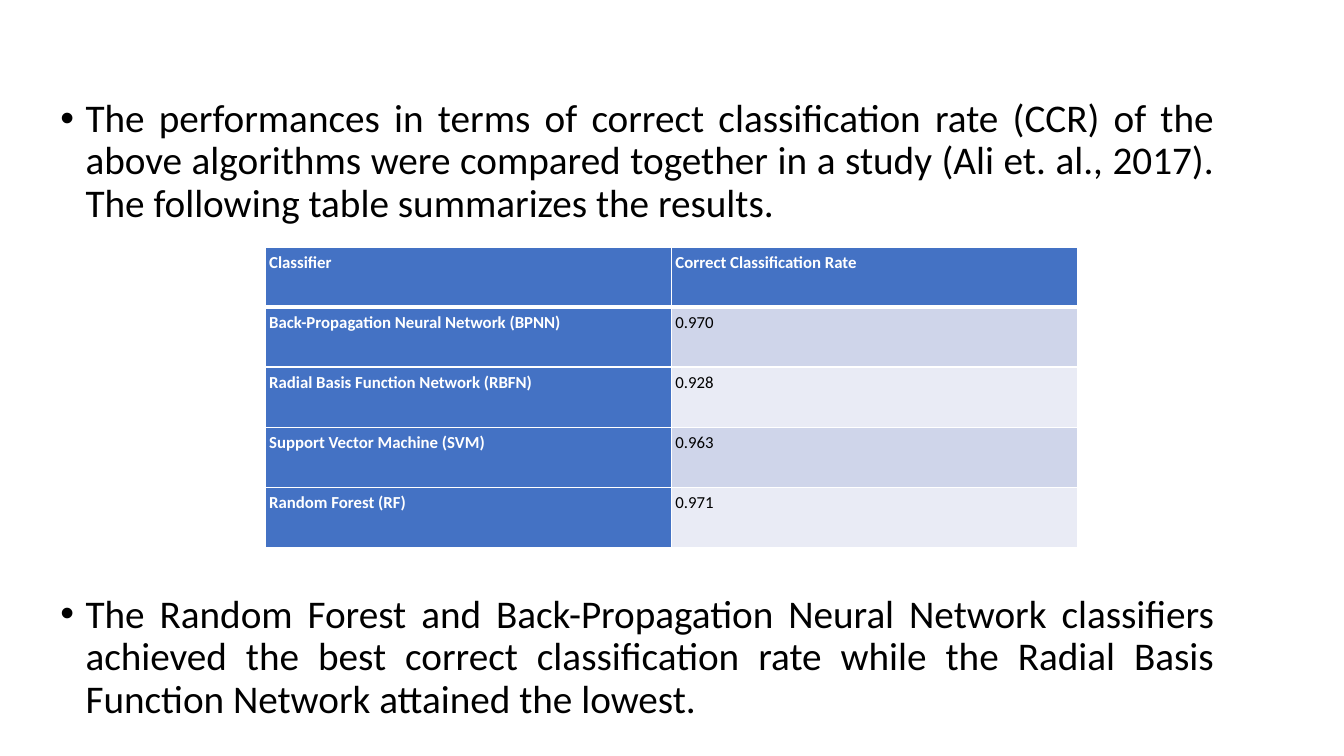
import pptx
import pptx.dml.color
import pptx.enum.text
import pptx.oxml
import pptx.oxml.ns
import pptx.util

prs = pptx.Presentation()
prs.slide_width = pptx.util.Inches(13.33)
prs.slide_height = pptx.util.Inches(7.5)
s = prs.slides.add_slide(prs.slide_layouts[6])

# Lengths are percentages of the slide's width and height
X, Y = prs.slide_width / 100, prs.slide_height / 100
NS = pptx.oxml.ns.nsdecls("a")


def rgb(color):
    return pptx.dml.color.RGBColor.from_string(color)


def write(tf, text, size=12, color="000000", bold=False, spacing=1.0, after=0, bullet=False):
    p = tf.paragraphs[0]
    p.alignment = pptx.enum.text.PP_ALIGN.JUSTIFY
    p.line_spacing = spacing
    p.space_before, p.space_after = pptx.util.Pt(0), pptx.util.Pt(after)
    if bullet:
        pPr = p._p.get_or_add_pPr()
        indent = pptx.util.Inches(0.25)
        pPr.set("marL", str(indent))
        pPr.set("indent", str(-indent))
        pPr.append(pptx.oxml.parse_xml(f'<a:buFont {NS} typeface="Arial"/>'))
        pPr.append(pptx.oxml.parse_xml(f'<a:buChar {NS} char="•"/>'))
    r = p.add_run()
    r.text = text
    r.font.name, r.font.size, r.font.bold = "Calibri", pptx.util.Pt(size), bold
    r.font.color.rgb = rgb(color)


# Classifier table
rows = [
    ("Classifier", "Correct Classification Rate"),
    ("Back-Propagation Neural Network (BPNN)", "0.970"),
    ("Radial Basis Function Network (RBFN)", "0.928"),
    ("Support Vector Machine (SVM)", "0.963"),
    ("Random Forest (RF)", "0.971"),
]
table = s.shapes.add_table(len(rows), 2, int(19.73 * X), int(32.67 * Y),
                           int(60.46 * X), int(39.73 * Y)).table
for i, row in enumerate(rows):
    for j, text in enumerate(row):
        cell = table.cell(i, j)
        cell.margin_left = cell.margin_right = pptx.util.Inches(0.04)
        cell.margin_top = cell.margin_bottom = pptx.util.Inches(0.04)
        heading = i == 0 or j == 0
        write(cell.text_frame, text, color="FFFFFF" if heading else "000000",
              bold=heading, spacing=1.06, after=8)

        # White borders, thicker under the header row
        tcPr = cell._tc.get_or_add_tcPr()
        for side in "LRTB":
            thick = (i, side) in [(0, "B"), (1, "T")]
            width = pptx.util.Pt(3 if thick else 1)
            tcPr.append(pptx.oxml.parse_xml(
                f'<a:ln{side} {NS} w="{width}"><a:solidFill><a:srgbClr val="FFFFFF"/>'
                f'</a:solidFill></a:ln{side}>'))
        cell.fill.solid()
        band = "CFD5EA" if i % 2 else "E9EBF5"
        cell.fill.fore_color.rgb = rgb("4472C4" if heading else band)

# Bulleted statements above and below the table
for top, text in [
    (12.4, "The performances in terms of correct classification rate (CCR) of the above "
           "algorithms were compared together in a study (Ali et. al., 2017). "
           "The following table summarizes the results."),
    (78, "The Random Forest and Back-Propagation Neural Network classifiers achieved the "
         "best correct classification rate while the Radial Basis Function Network "
         "attained the lowest."),
]:
    tf = s.shapes.add_textbox(int(3.75 * X), int(top * Y), int(87.32 * X), int(22 * Y)).text_frame
    tf.word_wrap = True
    write(tf, text, size=28, spacing=0.9, bullet=True)

prs.save("out.pptx")
